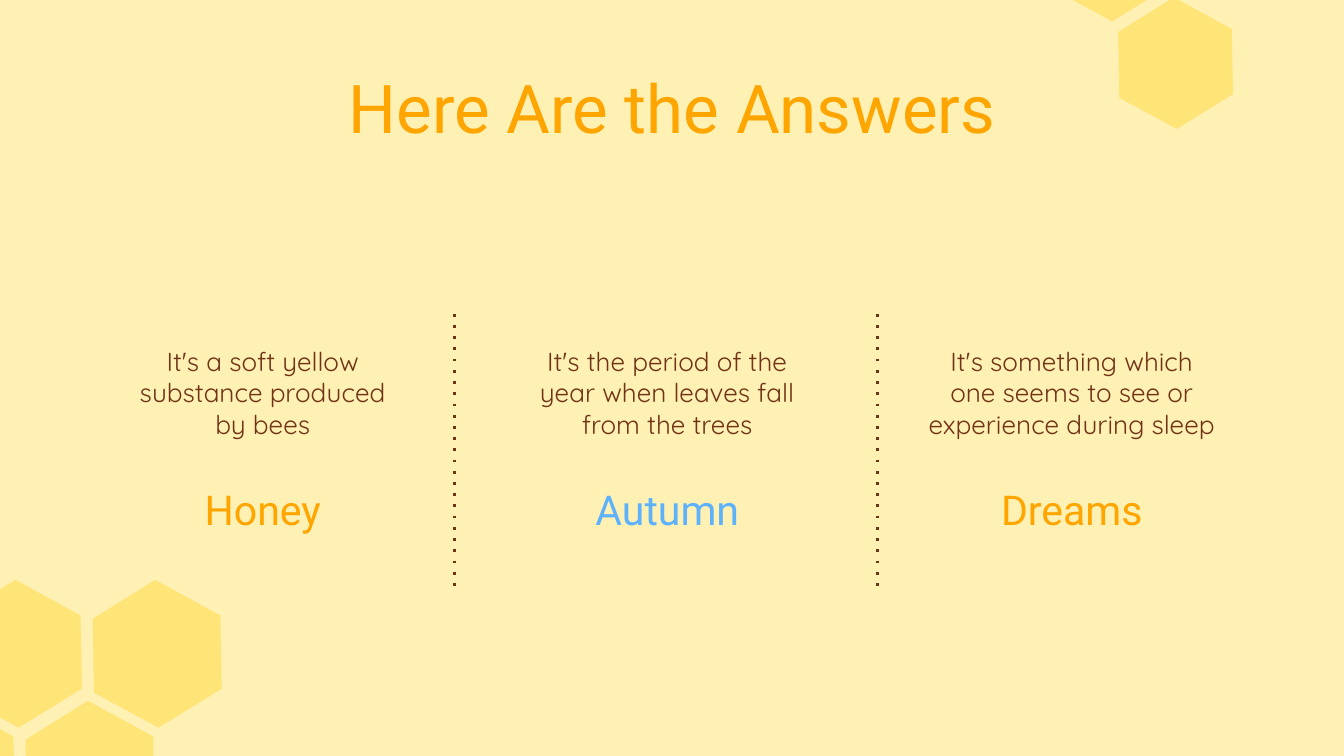
from dataclasses import dataclass

from lxml import etree
from pptx import Presentation
from pptx import util as u
from pptx.dml.color import RGBColor
from pptx.enum import shapes, text
from pptx.oxml.ns import qn

PX = 4572  # EMU per px, 200 px to the inch
HEX = [(93, 0), (0, 58), (2, 168), (98, 220), (192, 162), (190, 53)]


@dataclass
class Theme:
    back: str = "FFF0B3"
    comb: str = "FFDB45"
    gold: str = "FFA500"
    blue: str = "5EB2FC"
    brown: str = "703316"
    head: str = "Roboto"
    body: str = "Quicksand"
    big: int = 36
    mid: int = 22
    small: int = 14


def rgb(code):
    return RGBColor.from_string(code)


def write(frame, words, font, size, color, anchor=text.MSO_ANCHOR.TOP):
    frame.word_wrap = True
    frame.vertical_anchor = anchor
    frame.margin_left = frame.margin_right = 20 * PX
    frame.margin_top = frame.margin_bottom = 20 * PX
    para = frame.paragraphs[0]
    para.alignment = text.PP_ALIGN.CENTER
    run = para.add_run()
    run.text = words
    run.font.name = font
    run.font.size = u.Pt(size)
    run.font.color.rgb = rgb(color)


class Deck:
    def __init__(self, slide, theme):
        self.slide = slide
        self.theme = theme
        fill = slide.background.fill
        fill.solid()
        fill.fore_color.rgb = rgb(theme.back)

    def cell(self, x, y, scale=1.0):
        """Draw one translucent honeycomb cell."""
        build = self.slide.shapes.build_freeform(*HEX[0], scale=PX * scale)
        build.add_line_segments(HEX[1:], close=True)
        shape = build.convert_to_shape(x * PX, y * PX)
        shape.shadow.inherit = False
        shape.fill.solid()
        shape.fill.fore_color.rgb = rgb(self.theme.comb)
        shape.line.fill.background()
        color = shape._element.spPr.find(qn("a:solidFill"))[0]
        etree.SubElement(color, qn("a:alpha"), val="54000")

    def label(self, x, y, w, h, words, **style):
        box = self.slide.shapes.add_textbox(x * PX, y * PX, w * PX, h * PX)
        write(box.text_frame, words, **style)

    def rule(self, x, top, end):
        """Draw a dotted vertical divider."""
        line = self.slide.shapes.add_connector(
            shapes.MSO_CONNECTOR.STRAIGHT, x * PX, top * PX, x * PX, end * PX)
        line.line.color.rgb = rgb(self.theme.brown)
        line.line.width = u.Pt(1.5)
        props = line._element.spPr
        etree.SubElement(props.find(qn("a:ln")), qn("a:prstDash"), val="dot")
        etree.SubElement(props, qn("a:effectLst"))


def main():
    prs = Presentation()
    prs.slide_width, prs.slide_height = 2000 * PX, 1125 * PX
    theme = Theme()
    deck = Deck(prs.slides.add_slide(prs.slide_layouts[6]), theme)

    for row in range(2):
        for col in range(2):
            deck.cell(-70 + 208 * col - 100 * row, 863 + 180 * row)
    for step in range(2):
        deck.cell(1568 + 96 * step, -164 + 160 * step, scale=0.89)

    deck.label(102, 78, 1796, 146, "Here Are the Answers",
               font=theme.head, size=theme.big, color=theme.gold)

    answers = [
        ("Honey", theme.gold, 438,
         "It's a soft yellow substance produced by bees"),
        ("Autumn", theme.blue, 466,
         "It's the period of the year when leaves fall from the trees"),
        ("Dreams", theme.gold, 466,
         "It's something which one seems to see or experience during sleep"),
    ]
    for i, (name, color, width, clue) in enumerate(answers):
        mid = 391 + 602 * i
        deck.label(mid - width // 2, 494, width, 192, clue,
                   font=theme.body, size=theme.small, color=theme.brown)
        deck.label(mid - 171, 688, 342, 126, name, font=theme.head,
                   size=theme.mid, color=color, anchor=text.MSO_ANCHOR.BOTTOM)

    for x in (677, 1306):
        deck.rule(x, 467, 883)

    prs.save("out.pptx")


if __name__ == "__main__":
    main()
